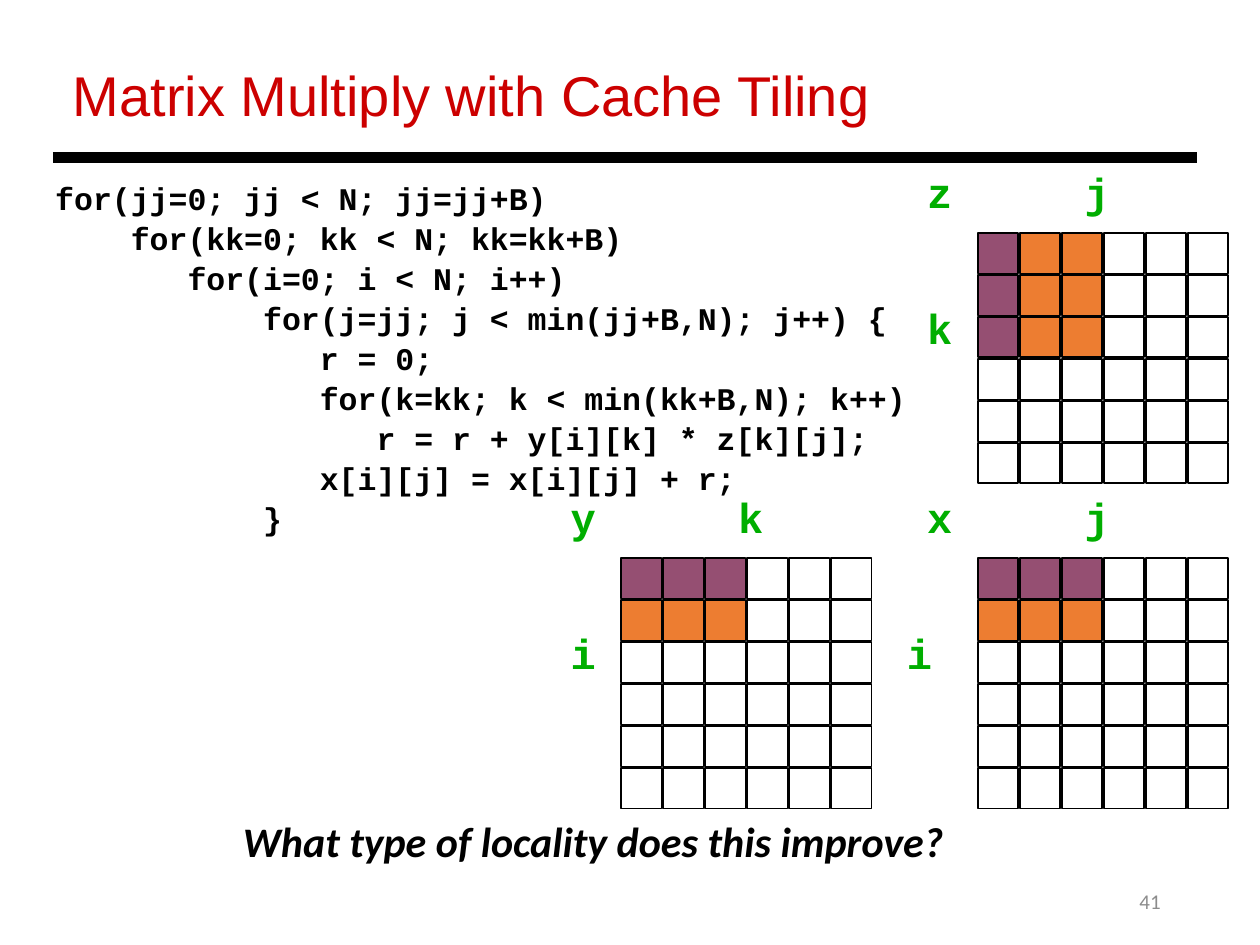
from pptx import Presentation
from pptx.dml.color import RGBColor
from pptx.enum.shapes import MSO_CONNECTOR, MSO_SHAPE
from pptx.enum.text import MSO_ANCHOR, PP_ALIGN
from pptx.oxml.ns import qn
from pptx.util import Inches, Pt
from lxml.etree import SubElement

BLACK = RGBColor(0x00, 0x00, 0x00)
WHITE = RGBColor(0xFF, 0xFF, 0xFF)
GREY = RGBColor(0x8C, 0x8C, 0x8C)
RED = RGBColor(0xCC, 0x00, 0x00)
GREEN = RGBColor(0x00, 0xAE, 0x00)
PLUM = RGBColor(0x95, 0x4F, 0x72)
ORANGE = RGBColor(0xED, 0x7D, 0x31)

MONO = "Courier New"
SIDE = 6
STEP = 1 / 3
CELL = 0.32
CHAR = 0.15

CODE = [
    (0, "for(jj=0; jj < N; jj=jj+B)"),
    (4, "for(kk=0; kk < N; kk=kk+B)"),
    (7, "for(i=0; i < N; i++)"),
    (11, "for(j=jj; j < min(jj+B,N); j++) {"),
    (14, "r = 0;"),
    (14, "for(k=kk; k < min(kk+B,N); k++)"),
    (17, "r = r + y[i][k] * z[k][j];"),
    (14, "x[i][j] = x[i][j] + r;"),
    (11, "}"),
]

ROWS = {0: [PLUM] * 3, 1: [ORANGE] * 3}
TILE = {row: [PLUM, ORANGE, ORANGE] for row in range(3)}


class Deck:
    """Holds the style and the current slide, and draws each kind of element."""

    def __init__(self):
        self.prs = Presentation()
        self.prs.slide_width = Inches(10)
        self.prs.slide_height = Inches(7.5)
        self.slide = self.prs.slides.add_slide(self.prs.slide_layouts[6])

    def style(self, para, size, name, color, bold=False, italic=False):
        font = para.font
        font.size, font.name = Pt(size), name
        font.bold, font.italic = bold, italic
        font.color.rgb = color

    def text(self, box, words, *look, home=None, **more):
        shapes = (home or self.slide).shapes
        frame = shapes.add_textbox(*map(Inches, box)).text_frame
        frame.word_wrap = True
        para = frame.paragraphs[0]
        para.text = words
        self.style(para, *look, **more)
        return para

    def number(self, box, words):
        shape = self.slide.shapes.add_textbox(*map(Inches, box))
        frame = shape.text_frame
        frame.word_wrap = True
        frame.vertical_anchor = MSO_ANCHOR.MIDDLE
        para = frame.paragraphs[0]
        para.text = words
        para.alignment = PP_ALIGN.RIGHT
        self.style(para, 12, "Calibri", GREY)

    def rule(self, left, right, top):
        line = self.slide.shapes.add_connector(
            MSO_CONNECTOR.STRAIGHT, Inches(left), Inches(top), Inches(right), Inches(top))
        line.line.color.rgb = BLACK
        line.line.width = Pt(6)
        SubElement(line._element.spPr, qn("a:effectLst"))

    def code(self, box, lines):
        frame = self.slide.shapes.add_textbox(*map(Inches, box)).text_frame
        frame.word_wrap = True
        for pos, (depth, words) in enumerate(lines):
            para = frame.add_paragraph() if pos else frame.paragraphs[0]
            para.text = words
            para.line_spacing = 1.06
            para._p.get_or_add_pPr().set("marL", str(Inches(depth * CHAR)))
            self.style(para, 18, MONO, BLACK, bold=True)

    def cell(self, home, left, top, fill):
        shape = home.shapes.add_shape(
            MSO_SHAPE.RECTANGLE, Inches(left), Inches(top), Inches(CELL), Inches(CELL))
        shape.shadow.inherit = False
        shape.fill.solid()
        shape.fill.fore_color.rgb = fill
        shape.line.color.rgb = BLACK
        shape.line.width = Pt(1)

    def matrix(self, left, top, fills, labels):
        home = self.slide.shapes.add_group_shape()
        for words, over, down in labels:
            self.text((left + over, top + down, 0.4, 0.5), words,
                      24, MONO, GREEN, home=home, bold=True)
        for row in range(SIDE):
            tints = fills.get(row, [])
            for col in range(SIDE):
                fill = tints[col] if col < len(tints) else WHITE
                self.cell(home, left + col * STEP, top + row * STEP, fill)


def main():
    deck = Deck()
    deck.number((7.06, 6.95, 2.25, 0.4), "41")
    deck.text((0.48, 0.43, 8.27, 0.64), "Matrix Multiply with Cache Tiling", 32, "Arial", RED)
    deck.rule(0.42, 9.5, 1.25)
    deck.code((0.34, 1.35, 7.84, 3.42), CODE)
    ask = deck.text((1.83, 6.5, 5.9, 0.44), "What type of locality does this improve?",
                    24, "Calibri", BLACK, bold=True, italic=True)
    ask.line_spacing = 0.8
    deck.matrix(4.93, 4.43, ROWS, [("y", -0.5, -0.58), ("k", 0.83, -0.58), ("i", -0.5, 0.5)])
    deck.matrix(7.76, 1.85, TILE, [("z", -0.5, -0.58), ("j", 0.75, -0.58), ("k", -0.5, 0.5)])
    deck.matrix(7.76, 4.43, ROWS, [("x", -0.5, -0.58), ("j", 0.75, -0.58), ("i", -0.66, 0.5)])
    deck.prs.save("out.pptx")


if __name__ == "__main__":
    main()
